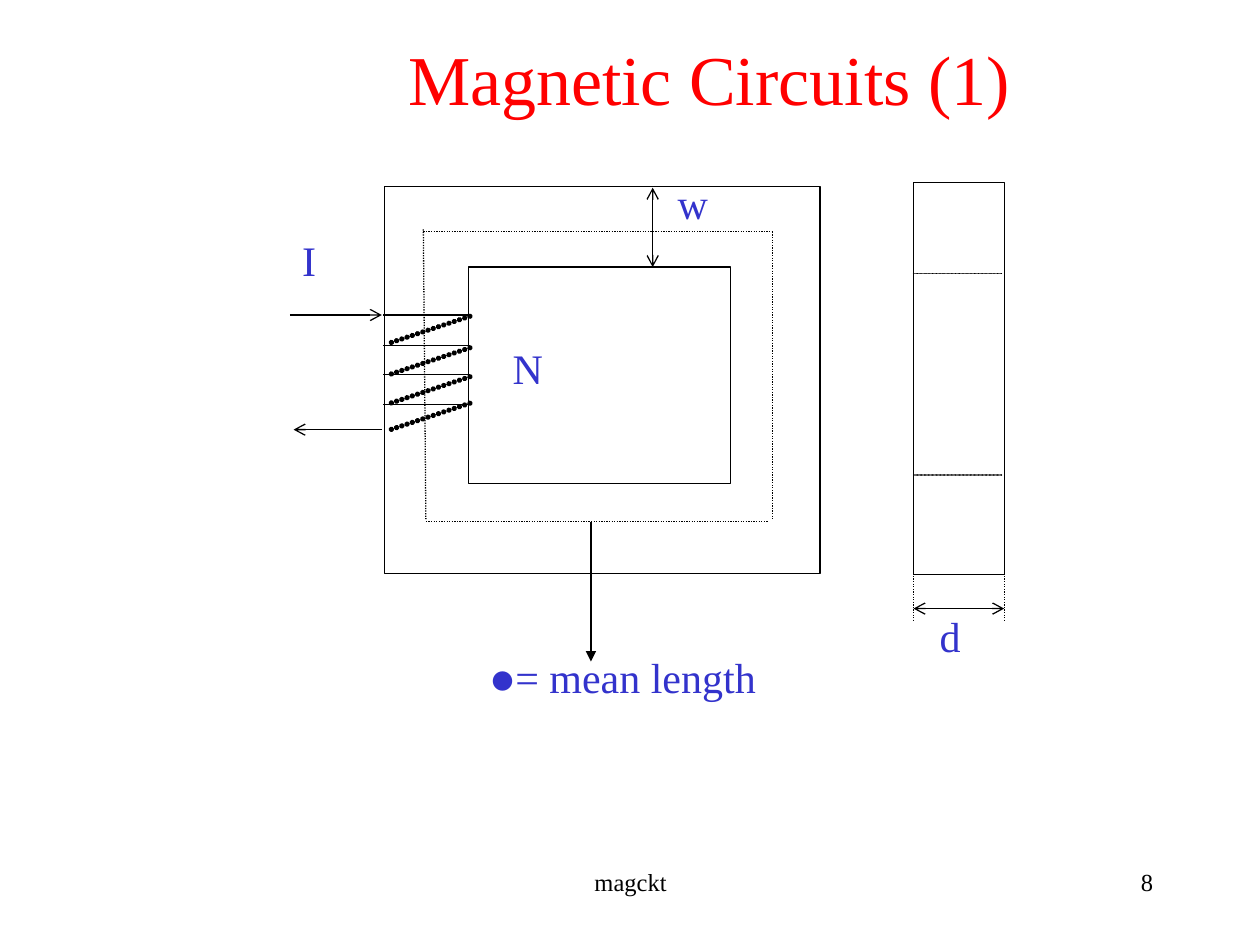
from lxml import etree
from pptx import Presentation
from pptx.dml.color import RGBColor
from pptx.enum.dml import MSO_LINE
from pptx.enum.shapes import MSO_CONNECTOR, MSO_SHAPE
from pptx.enum.text import PP_ALIGN
from pptx.oxml.ns import qn
from pptx.util import Inches, Pt

STRAIGHT = MSO_CONNECTOR.STRAIGHT
RECTANGLE = MSO_SHAPE.RECTANGLE
LEFT, CENTER, RIGHT = PP_ALIGN.LEFT, PP_ALIGN.CENTER, PP_ALIGN.RIGHT
DOTTED = MSO_LINE.ROUND_DOT
SERIF, SANS = "Times New Roman", "Calibri"
COLORS = {"ink": "000000", "label": "3333CC", "title": "FF0000"}


def color(name):
    return RGBColor.from_string(COLORS[name])


def add_rectangle(page, left, top, width, height):
    box = page.shapes.add_shape(
        RECTANGLE, Inches(left), Inches(top), Inches(width), Inches(height))
    box.shadow.inherit = False
    box.fill.background()
    box.line.color.rgb = color("ink")
    box.line.width = Pt(0.75)


def add_line(page, start, end, width=0.75, dotted=False, beaded=False,
             head=None, tail=None):
    """Draw a line; beaded means round dots that nearly touch."""
    line = page.shapes.add_connector(
        STRAIGHT, *(Inches(value) for value in (*start, *end)))
    line.line.color.rgb = color("ink")
    line.line.width = Pt(width)
    if dotted:
        line.line.dash_style = DOTTED
    properties = line.line._get_or_add_ln()
    if beaded:
        properties.set("cap", "rnd")
        dashes = etree.SubElement(properties, qn("a:custDash"))
        etree.SubElement(dashes, qn("a:ds"), d="100000", sp="5000")
    for tag, kind in (("a:headEnd", head), ("a:tailEnd", tail)):
        if kind:
            etree.SubElement(properties, qn(tag), type=kind)
    etree.SubElement(line._element.spPr, qn("a:effectLst"))


def add_text(page, place, spans, size=24, fill="label", align=LEFT, wrap=False):
    """Add one paragraph made of (text, font) spans."""
    box = page.shapes.add_textbox(*(Inches(value) for value in place))
    box.text_frame.word_wrap = wrap
    para = box.text_frame.paragraphs[0]
    para.alignment = align
    for text, font in spans:
        span = para.add_run()
        span.text = text
        span.font.name = font
        span.font.size = Pt(size)
        span.font.color.rgb = color(fill)


def draw_core(page):
    add_rectangle(page, 3.05, 1.48, 3.46, 3.07)
    add_rectangle(page, 3.72, 2.12, 2.08, 1.72)
    mean_path = [
        ((3.36, 1.84), (6.13, 1.84)),
        ((3.36, 1.82), (3.38, 4.12)),
        ((3.38, 4.14), (6.1, 4.14)),
        ((6.13, 1.84), (6.13, 4.12)),
    ]
    for start, end in mean_path:
        add_line(page, start, end, dotted=True)
    add_line(page, (4.69, 4.14), (4.69, 5.25), tail="triangle")
    add_line(page, (5.18, 1.49), (5.18, 2.12), head="arrow", tail="arrow")


def draw_coil(page):
    for y in (2.5, 2.74, 2.97, 3.21):
        add_line(page, (3.04, y), (3.73, y))
    for y in (2.51, 2.76, 2.99, 3.2):
        add_line(page, (3.73, y), (3.07, y + 0.22), width=3, beaded=True)
    add_line(page, (2.3, 2.5), (3.03, 2.5), tail="arrow")
    add_line(page, (2.33, 3.41), (3.03, 3.41), head="arrow")


def draw_side_view(page):
    left, right = 7.25, 7.97
    add_rectangle(page, left, 1.45, right - left, 3.11)
    for y in (2.17, 3.77):
        add_line(page, (left, y), (7.95, y), beaded=True)
    for x in (left, right):
        add_line(page, (x, 4.55), (x, 4.93), dotted=True)
    add_line(page, (left, 4.83), (right, 4.83), head="arrow", tail="arrow")


def main():
    deck = Presentation()
    deck.slide_width, deck.slide_height = Inches(10), Inches(7.5)
    page = deck.slides.add_slide(deck.slide_layouts[6])

    draw_core(page)
    draw_coil(page)
    draw_side_view(page)

    add_text(page, (3.14, 0.23, 4.98, 0.77),
             [("Magnetic Circuits (1)", SERIF)], size=40, fill="title")
    labels = [("N", 3.97, 2.67, 0.44), ("I", 2.3, 1.81, 0.31),
              ("d", 7.36, 4.8, 0.36), ("w", 5.28, 1.36, 0.44)]
    for text, left, top, width in labels:
        add_text(page, (left, top, width, 0.5), [(text, SERIF)])
    add_text(page, (3.79, 5.12, 2.39, 0.5),
             [("●", SANS), ("= mean length", SERIF)], wrap=True)
    add_text(page, (3.42, 6.83, 3.17, 0.5), [("magckt", SERIF)],
             size=14, fill="ink", align=CENTER, wrap=True)
    add_text(page, (7.17, 6.83, 2.08, 0.5), [("8", SERIF)],
             size=14, fill="ink", align=RIGHT, wrap=True)

    deck.save("out.pptx")


if __name__ == "__main__":
    main()
